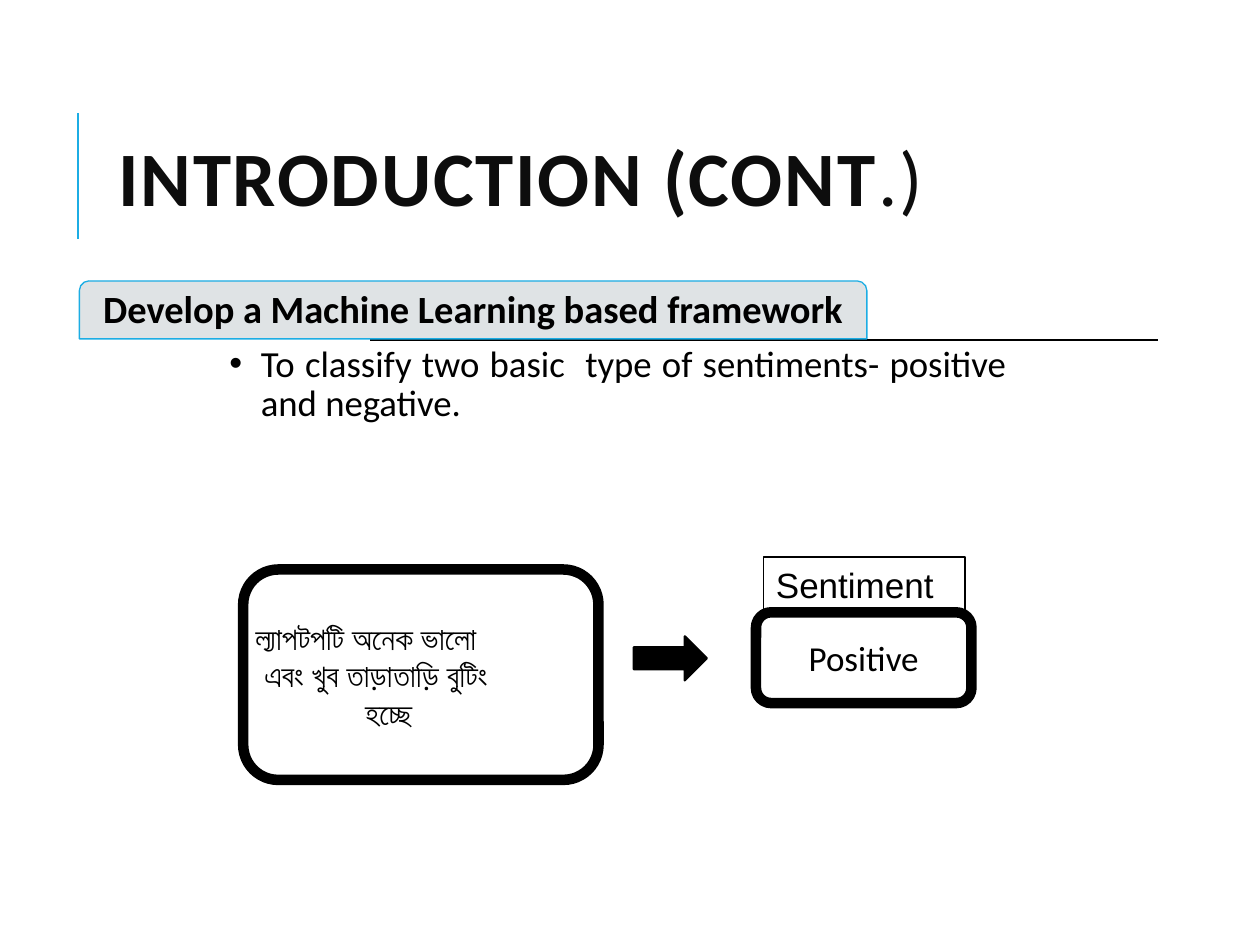
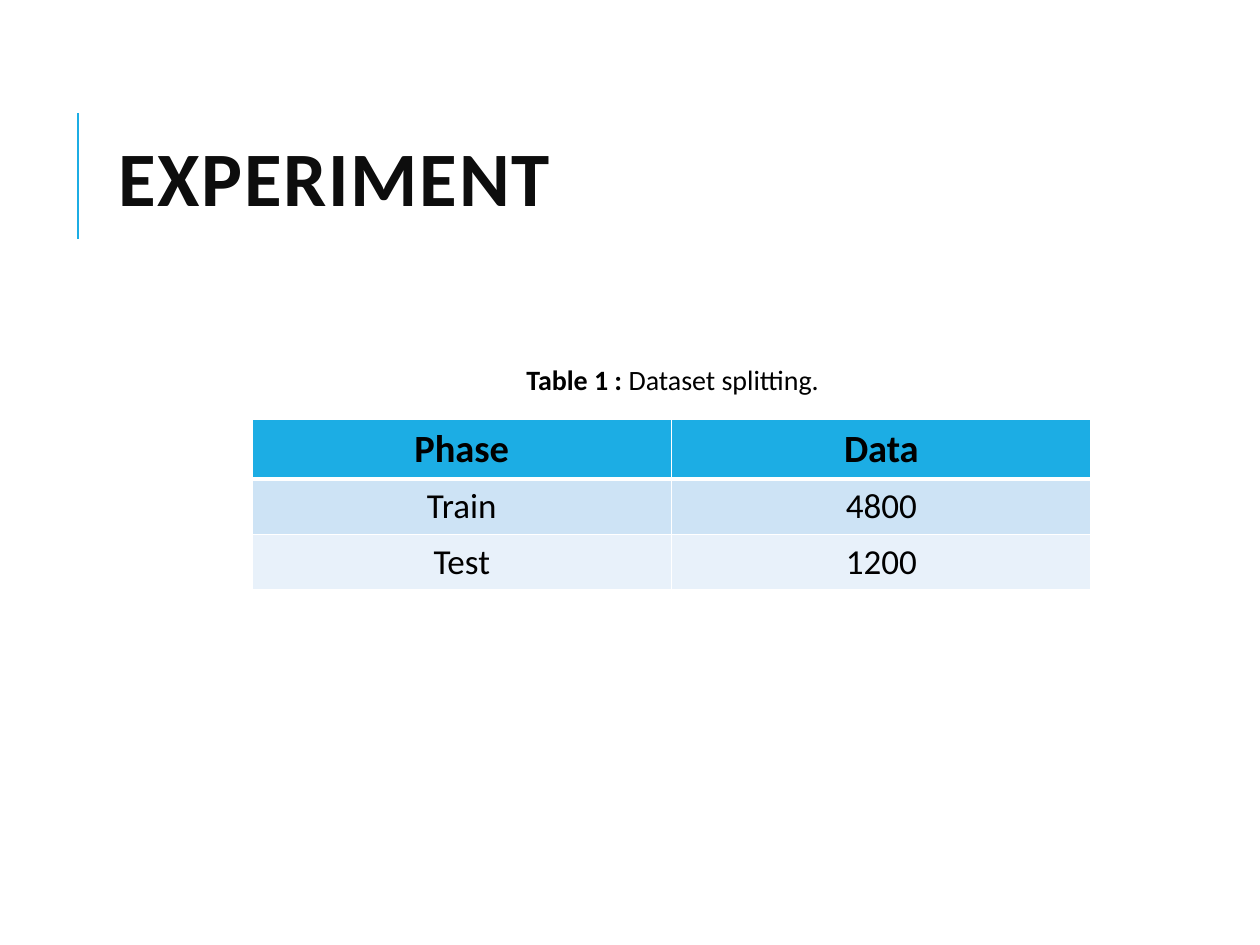
import pptx
import pptx.util
import pptx.dml.color
import pptx.enum.shapes
import pptx.enum.text
import pptx.oxml.ns
import lxml.etree

Inches = pptx.util.Inches
Pt = pptx.util.Pt
RGBColor = pptx.dml.color.RGBColor
Shape = pptx.enum.shapes.MSO_SHAPE
Align = pptx.enum.text.PP_ALIGN
Anchor = pptx.enum.text.MSO_ANCHOR
qn = pptx.oxml.ns.qn

BLACK = RGBColor(0, 0, 0)
INK = RGBColor(0x0D, 0x0D, 0x0D)
BLUE = RGBColor(0x1C, 0xAD, 0xE4)
GREY = RGBColor(0xDF, 0xE3, 0xE5)
WHITE = RGBColor(255, 255, 255)
ROW_FILLS = [BLUE, RGBColor(0xCD, 0xE3, 0xF5), RGBColor(0xE8, 0xF1, 0xFA)]

INTRO_TITLE = [("INTRODUCTION (CONT", True), (".)", False)]
GOAL = "Develop a Machine Learning based framework"
GOAL_DETAIL = "To classify two basic  type of sentiments- positive and negative."
REVIEW_LINES = [("ল্যাপটপটি অনেক ভালো", 0), ("এবং খুব তাড়াতাড়ি বুটিং", 0.07), ("হচ্ছে", 0.87)]
EXPERIMENT_TITLE = [("EXPERIMENT", True)]
CAPTION = [("Table 1 : ", True), ("Dataset splitting.", False)]
SPLIT_ROWS = [("Phase", "Data"), ("Train", "4800"), ("Test", "1200")]


def style_run(span, size, bold=False, font="Calibri", color=BLACK):
    span.font.name = font
    span.font.size = Pt(size)
    span.font.bold = bold
    span.font.color.rgb = color


def write(para, parts, size, align=Align.LEFT, font="Calibri", color=BLACK):
    para.alignment = align
    for text, bold in parts:
        span = para.add_run()
        span.text = text
        style_run(span, size, bold, font, color)


def place(shape, left, top, width, height):
    shape.left, shape.top = Inches(left), Inches(top)
    shape.width, shape.height = Inches(width), Inches(height)


def set_margins(frame, inset):
    frame.margin_left = frame.margin_right = Inches(inset)
    frame.margin_top = frame.margin_bottom = Inches(inset)


def set_indent(para, left, first=0):
    properties = para._p.get_or_add_pPr()
    properties.set("marL", str(Inches(left)))
    properties.set("indent", str(Inches(first)))


def add_line(page, start, end, color, weight):
    line = page.shapes.add_connector(
        pptx.enum.shapes.MSO_CONNECTOR.STRAIGHT, *map(Inches, start + end))
    line.line.color.rgb = color
    line.line.width = Pt(weight)
    lxml.etree.SubElement(line._element.spPr, qn("a:effectLst"))


def add_box(page, kind, at, line_color, weight, fill=None):
    box = page.shapes.add_shape(kind, *map(Inches, at))
    box.shadow.inherit = False
    if fill is None:
        box.fill.background()
    else:
        box.fill.solid()
        box.fill.fore_color.rgb = fill
    box.line.color.rgb = line_color
    box.line.width = Pt(weight)
    box.text_frame.vertical_anchor = Anchor.MIDDLE
    return box


def add_text(page, at):
    box = page.shapes.add_textbox(*map(Inches, at))
    box.text_frame.word_wrap = True
    return box.text_frame


def add_page(deck, layout, title):
    page = deck.slides.add_slide(deck.slide_layouts[layout])
    add_line(page, (0.62, 0.9), (0.62, 1.9), BLUE, 1.5)
    place(page.shapes.title, 0.84, 0.64, 7.97, 1.64)
    frame = page.shapes.title.text_frame
    frame.vertical_anchor = Anchor.MIDDLE
    para = frame.paragraphs[0]
    para.line_spacing = 0.8
    write(para, title, 44, color=INK)
    for span in para.runs:
        span.font._element.set("spc", "100")
    return page


def add_borders(cell, bottom):
    properties = cell._tc.get_or_add_tcPr()
    for side, weight in (("L", 1), ("R", 1), ("T", 1), ("B", bottom)):
        line = lxml.etree.SubElement(properties, qn("a:ln" + side), w=str(Pt(weight)))
        fill = lxml.etree.SubElement(line, qn("a:solidFill"))
        lxml.etree.SubElement(fill, qn("a:srgbClr"), val=str(WHITE))


def build_introduction(deck):
    page = add_page(deck, 1, INTRO_TITLE)

    add_box(page, Shape.ROUNDED_RECTANGLE, (1.93, 4.52, 2.82, 1.67), BLACK, 6)
    add_box(page, Shape.RIGHT_ARROW, (5.03, 5.05, 0.58, 0.35), BLACK, 1.25, BLACK)
    verdict = add_box(page, Shape.ROUNDED_RECTANGLE, (6, 4.86, 1.71, 0.72), BLACK, 6)
    write(verdict.text_frame.paragraphs[0], [("Positive", False)], 20, Align.CENTER)
    label = add_box(page, Shape.RECTANGLE, (6.06, 4.42, 1.6, 0.44), BLACK, 0.75)
    write(label.text_frame.paragraphs[0], [("Sentiment", False)], 20, font="Arial")

    review = add_text(page, (1.93, 4.86, 5, 1.01))
    review.text = "\n".join(text for text, indent in REVIEW_LINES)
    for para, (text, indent) in zip(review.paragraphs, REVIEW_LINES):
        set_indent(para, indent)
        style_run(para.runs[0], 18, font="Arial")

    add_line(page, (2.94, 2.7), (9.19, 2.7), BLACK, 1.25)
    band = add_box(page, Shape.ROUND_2_SAME_RECTANGLE, (0.63, 2.23, 6.25, 0.46), BLUE, 0.75, GREY)
    set_margins(band.text_frame, 0.02)
    write(band.text_frame.paragraphs[0], [(GOAL, True)], 22, Align.CENTER)
    band.text_frame.paragraphs[0].line_spacing = 0.9

    body = page.placeholders[1]
    place(body, 1.78, 2.7, 6.25, 0.93)
    set_margins(body.text_frame, 0.04)
    para = body.text_frame.paragraphs[0]
    para.line_spacing = 0.9
    para.space_before = Pt(0)
    write(para, [(GOAL_DETAIL, False)], 21, Align.JUSTIFY)
    set_indent(para, 0.25, -0.25)


def build_experiment(deck):
    page = add_page(deck, 5, EXPERIMENT_TITLE)
    frame = page.shapes.add_table(
        len(SPLIT_ROWS), 2, Inches(2), Inches(3.33), Inches(6.66), Inches(1.23))
    for row, values in enumerate(SPLIT_ROWS):
        header = row == 0
        for column, value in enumerate(values):
            cell = frame.table.cell(row, column)
            add_borders(cell, 3 if header else 1)
            cell.fill.solid()
            cell.fill.fore_color.rgb = ROW_FILLS[row]
            write(cell.text_frame.paragraphs[0], [(value, header)],
                  22 if header else 20, Align.CENTER)
    caption = add_text(page, (4.08, 2.83, 4.17, 0.37))
    write(caption.paragraphs[0], CAPTION, 16)


def main():
    deck = pptx.Presentation()
    deck.slide_width, deck.slide_height = Inches(10), Inches(7.5)
    build_introduction(deck)
    build_experiment(deck)
    deck.save("out.pptx")


if __name__ == "__main__":
    main()
